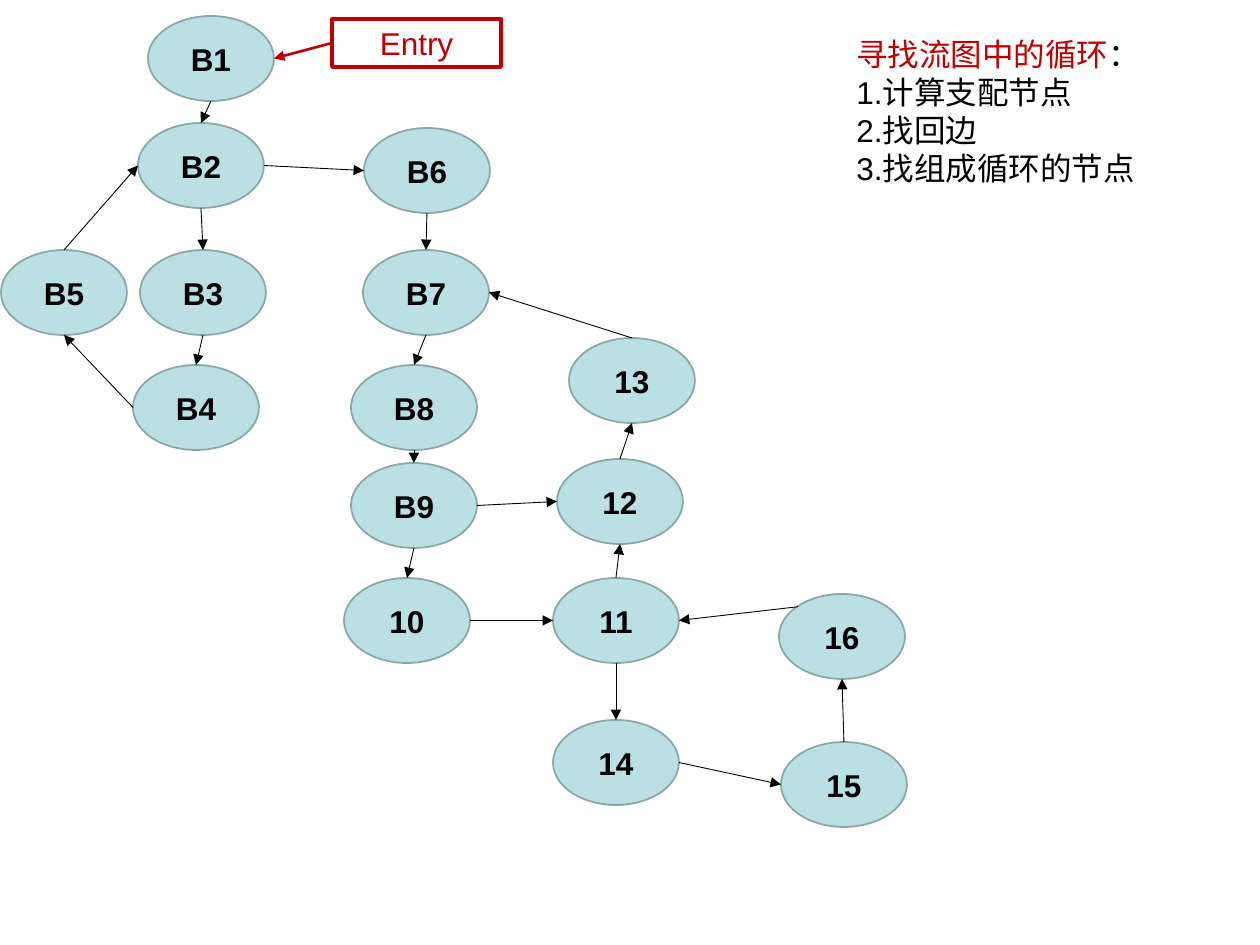
from lxml import etree
from pptx import Presentation
from pptx.dml.color import RGBColor
from pptx.enum.shapes import MSO_CONNECTOR, MSO_SHAPE
from pptx.enum.text import MSO_ANCHOR, PP_ALIGN
from pptx.oxml.ns import qn
from pptx.util import Emu, Pt

OVAL, RECTANGLE = MSO_SHAPE.OVAL, MSO_SHAPE.RECTANGLE
STRAIGHT = MSO_CONNECTOR.STRAIGHT
MIDDLE, CENTER = MSO_ANCHOR.MIDDLE, PP_ALIGN.CENTER

BLACK = RGBColor(0x00, 0x00, 0x00)
WHITE = RGBColor(0xFF, 0xFF, 0xFF)
RED = RGBColor(0xC0, 0x00, 0x00)
NODE_FILL = RGBColor(0xBB, 0xE0, 0xE3)
NODE_LINE = RGBColor(0x8A, 0xA6, 0xA8)

NODE_WIDTH, NODE_HEIGHT = 126, 85
NODES = {
    "B1": (148, 16), "B2": (138, 123), "B3": (140, 250), "B4": (133, 365),
    "B5": (1, 250), "B6": (364, 128), "B7": (363, 250), "B8": (351, 365),
    "B9": (351, 463), "10": (344, 578), "11": (553, 578), "12": (557, 459),
    "13": (569, 338), "14": (553, 720), "15": (781, 742), "16": (779, 594),
}
EDGES = [
    ("B1", "bottom", "B2", "top"),
    ("B2", "bottom", "B3", "top"),
    ("B3", "bottom", "B4", "top"),
    ("B4", "left", "B5", "bottom"),
    ("B5", "top", "B2", "left"),
    ("B2", "right", "B6", "left"),
    ("B6", "bottom", "B7", "top"),
    ("B7", "bottom", "B8", "top"),
    ("B8", "bottom", "B9", "top"),
    ("B9", "bottom", "10", "top"),
    ("B9", "right", "12", "left"),
    ("10", "right", "11", "left"),
    ("11", "top", "12", "bottom"),
    ("11", "bottom", "14", "top"),
    ("14", "right", "15", "left"),
    ("15", "top", "16", "bottom"),
    ("16", "top left", "11", "right"),
    ("12", "top", "13", "bottom"),
    ("13", "top", "B7", "right"),
]
SITES = {
    "top": (0.5, 0), "bottom": (0.5, 1), "left": (0, 0.5), "right": (1, 0.5),
    "top left": (0.15, 0.15),
}
ENTRY_BOX = (332, 19, 169, 48)
NOTE_BOX = (844, 29, 435, 165)
NOTE = [
    [("寻找流图中的循环", RED), ("：", BLACK)],
    [("1.计算支配节点", BLACK)],
    [("2.找回边", BLACK)],
    [("3.找组成循环的节点", BLACK)],
]


def px(length):
    return Emu(round(length * 914400 / 126))


def site_point(node, site):
    left, top = NODES[node]
    across, down = SITES[site]
    return left + across * NODE_WIDTH, top + down * NODE_HEIGHT


def set_font(paragraph, color=None, bold=False):
    paragraph.font.name = "Arial"
    paragraph.font.size = Pt(18)
    paragraph.font.bold = bold
    if color is not None:
        paragraph.font.color.rgb = color


def add_label_shape(slide, kind, box, text, fill, line, width, color, bold):
    shape = slide.shapes.add_shape(kind, *map(px, box))
    shape.shadow.inherit = False
    shape.fill.solid()
    shape.fill.fore_color.rgb = fill
    shape.line.color.rgb = line
    shape.line.width = Pt(width)
    frame = shape.text_frame
    frame.vertical_anchor = MIDDLE
    frame.text = text
    paragraph = frame.paragraphs[0]
    paragraph.alignment = CENTER
    set_font(paragraph, color, bold)


def add_arrow(slide, start, end, color, width):
    arrow = slide.shapes.add_connector(STRAIGHT, *map(px, start + end))
    arrow.line.color.rgb = color
    arrow.line.width = Pt(width)
    properties = arrow.line._get_or_add_ln()
    etree.SubElement(properties, qn("a:tailEnd"), type="triangle")
    etree.SubElement(properties.getparent(), qn("a:effectLst"))


def add_note(slide):
    frame = slide.shapes.add_textbox(*map(px, NOTE_BOX)).text_frame
    frame.word_wrap = True
    for index, runs in enumerate(NOTE):
        paragraph = frame.add_paragraph() if index else frame.paragraphs[0]
        set_font(paragraph)
        for text, color in runs:
            run = paragraph.add_run()
            run.text = text
            run.font.color.rgb = color


def main():
    presentation = Presentation()
    presentation.slide_width, presentation.slide_height = px(1260), px(945)
    slide = presentation.slides.add_slide(presentation.slide_layouts[6])
    for name, position in NODES.items():
        add_label_shape(slide, OVAL, position + (NODE_WIDTH, NODE_HEIGHT), name,
                        NODE_FILL, NODE_LINE, 1, BLACK, True)
    for source, source_site, target, target_site in EDGES:
        add_arrow(slide, site_point(source, source_site),
                  site_point(target, target_site), BLACK, 0.5)
    add_label_shape(slide, RECTANGLE, ENTRY_BOX, "Entry", WHITE, RED, 2.25, RED, False)
    left, top, _, height = ENTRY_BOX
    add_arrow(slide, (left, top + height / 2), site_point("B1", "right"), RED, 1.5)
    add_note(slide)
    presentation.save("out.pptx")


if __name__ == "__main__":
    main()
